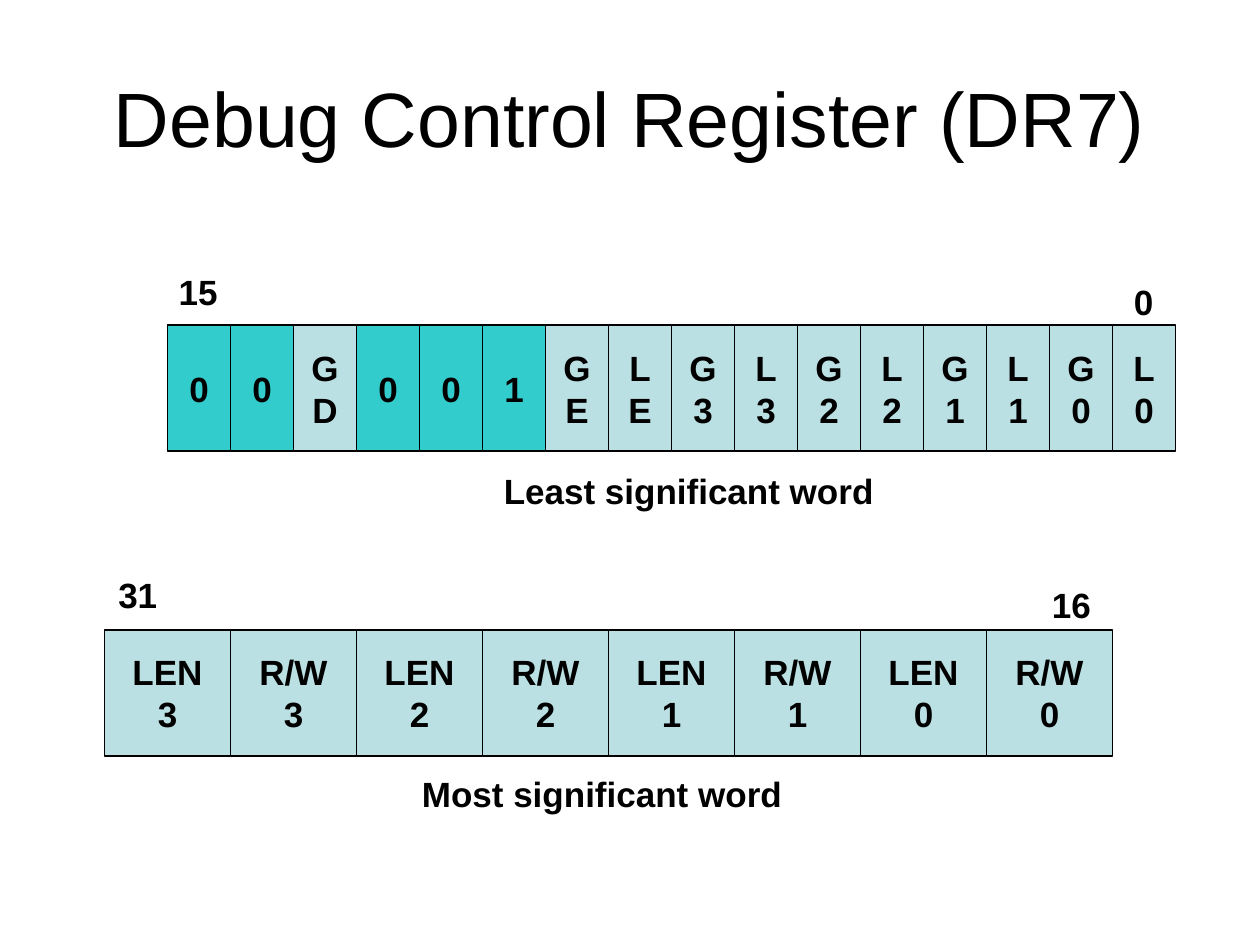
from pptx import Presentation
from pptx import util as u
from pptx.dml import color as dml
from pptx.enum import shapes, text

PALE, TEAL, BLACK = "BBE0E3", "33CCCC", "000000"


def rgb(hex_code):
    return dml.RGBColor.from_string(hex_code)


def write(sp, content, size=20, bold=True, align=text.PP_ALIGN.CENTER,
          anchor=text.MSO_ANCHOR.MIDDLE, wrap=False):
    tf = sp.text_frame
    tf.word_wrap = wrap
    tf.vertical_anchor = anchor
    tf.text = content
    for p in tf.paragraphs:
        p.alignment = align
        for r in p.runs:
            r.font.name = "Arial"
            r.font.size = u.Pt(size)
            r.font.bold = bold
            r.font.color.rgb = rgb(BLACK)


prs = Presentation()
prs.slide_width, prs.slide_height = u.Inches(10), u.Inches(7.5)
s = prs.slides.add_slide(prs.slide_layouts[5])

# Title
title = s.shapes.title
title.left, title.top = u.Inches(0.5), u.Inches(0.3)
title.width, title.height = u.Inches(9), u.Inches(1.25)
write(title, "Debug Control Register (DR7)", size=44, bold=False, wrap=True)

# Register words: left, top, field width, fields from high bit to low
low_fields = ["0", "0", "G\nD", "0", "0", "1", "G\nE", "L\nE"]
low_fields += [f"{kind}\n{n}" for n in (3, 2, 1, 0) for kind in "GL"]
high_fields = [f"{kind}\n{n}" for n in (3, 2, 1, 0) for kind in ("LEN", "R/W")]
words = [(1.33, 2.58, 0.5, low_fields), (0.83, 5, 1, high_fields)]

for left, top, width, fields in words:
    for i, field in enumerate(fields):
        sp = s.shapes.add_shape(
            shapes.MSO_SHAPE.RECTANGLE, u.Inches(left + i * width),
            u.Inches(top), u.Inches(width), u.Inches(1))
        sp.shadow.inherit = False
        sp.fill.solid()
        # Fixed bits are teal, named fields pale
        sp.fill.fore_color.rgb = rgb(TEAL if field.isdigit() else PALE)
        sp.line.color.rgb = rgb(BLACK)
        sp.line.width = u.Pt(0.75)
        write(sp, field)

# Bit numbers and word captions
labels = [
    ("15", 1.32, 2.1, 0.51),
    ("0", 8.9, 2.18, 0.35),
    ("31", 0.84, 4.5, 0.51),
    ("16", 8.25, 4.58, 0.51),
    ("Least significant word", 3.9, 3.68, 3.14),
    ("Most significant word", 3.25, 6.08, 3.06),
]
for label, left, top, width in labels:
    sp = s.shapes.add_textbox(u.Inches(left), u.Inches(top),
                              u.Inches(width), u.Inches(0.44))
    write(sp, label, align=text.PP_ALIGN.LEFT, anchor=text.MSO_ANCHOR.TOP)
    sp.text_frame.auto_size = text.MSO_AUTO_SIZE.SHAPE_TO_FIT_TEXT

prs.save("out.pptx")
